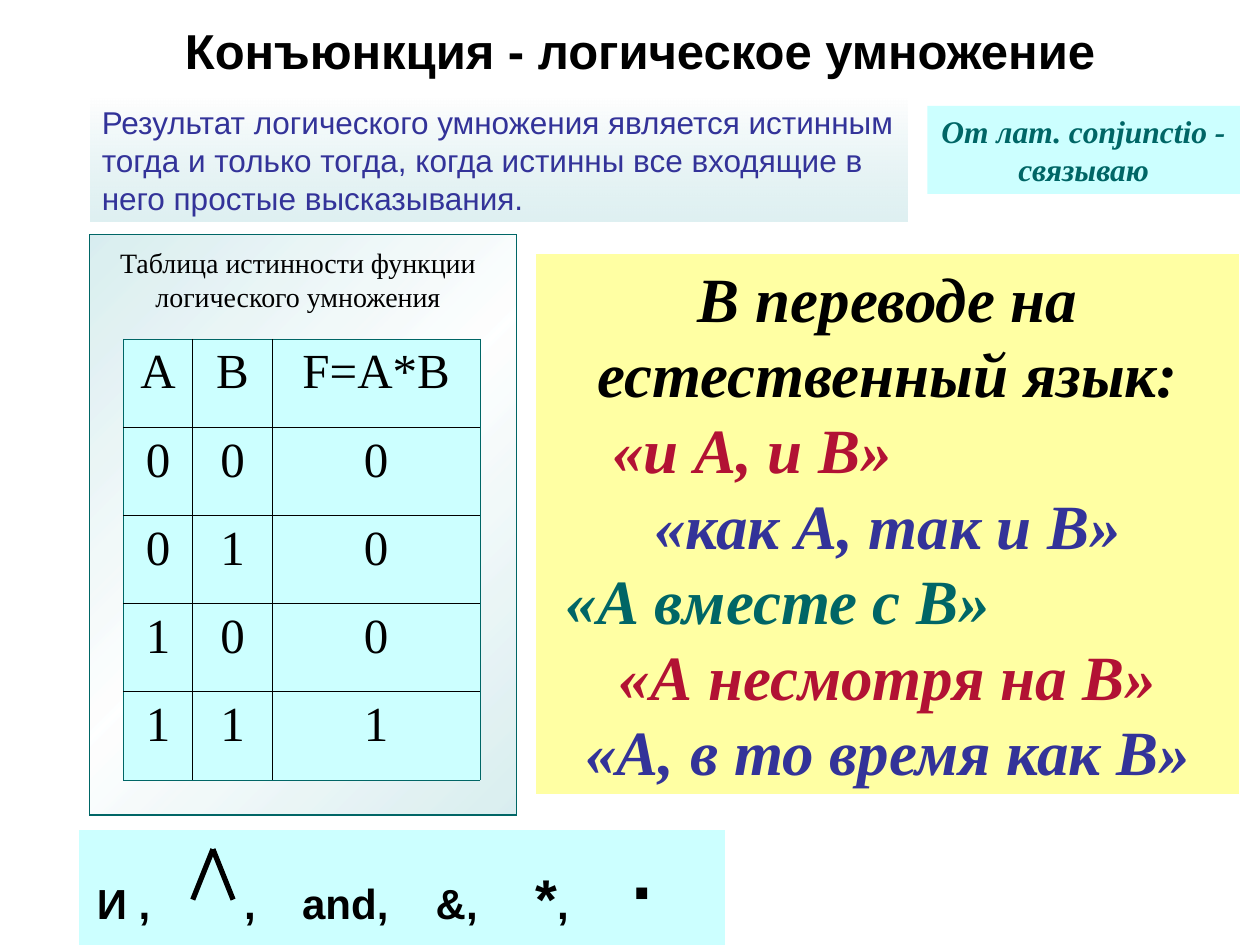
from lxml import etree
from pptx import Presentation
from pptx.dml.color import RGBColor
from pptx.enum.shapes import MSO_CONNECTOR, MSO_SHAPE
from pptx.enum.text import MSO_ANCHOR, PP_ALIGN
from pptx.oxml import parse_xml
from pptx.oxml.ns import nsdecls, qn
from pptx.util import Inches, Pt

LEFT, CENTER = PP_ALIGN.LEFT, PP_ALIGN.CENTER
TOP, MIDDLE = MSO_ANCHOR.TOP, MSO_ANCHOR.MIDDLE
RECTANGLE = MSO_SHAPE.RECTANGLE
STRAIGHT = MSO_CONNECTOR.STRAIGHT

SANS, SERIF = "Arial", "Times New Roman"
BLACK, WHITE, AQUA, MIST = "000000", "FFFFFF", "CCFFFF", "BBE0E3"
TEAL, INDIGO, CRIMSON, YELLOW = "006666", "333399", "B21234", "FFFF00"

TRUTH_TABLE = [["A", "B", "F=A*B"]] + [
    [str(a), str(b), str(a * b)] for a in (0, 1) for b in (0, 1)
]
READINGS = [  # text, colour, alignment, left indent
    ("В переводе на естественный язык:", BLACK, CENTER, 0),
    ("«и А, и В»", CRIMSON, LEFT, 0.51),
    ("«как А, так и В»", INDIGO, CENTER, 0),
    ("«А вместе с В»", TEAL, LEFT, 0.14),
    ("«А несмотря на В»", CRIMSON, CENTER, 0),
    ("«А, в то время как В»", INDIGO, CENTER, 0),
]
SYMBOLS = [("И ,\t,\tand,\t&,\t", 24), ("*", 32), (",\t", 24), ("·", 44)]
SYMBOL_TABS = [1.17, 1.63, 2.69, 3.48, 4.24]


def rgb(color):
    return RGBColor.from_string(color)


def style(para, font, size, color, align=LEFT, bold=False, italic=False):
    para.alignment = align
    para.font.name = font
    para.font.size = Pt(size)
    para.font.color.rgb = rgb(color)
    para.font.bold = bold
    para.font.italic = italic


def prepare_frame(shape, anchor=TOP):
    frame = shape.text_frame
    frame.word_wrap = True
    frame.vertical_anchor = anchor
    return frame


def write(shape, text, *look, **options):
    """Fill a shape with one paragraph; the look goes to style()."""
    para = prepare_frame(shape).paragraphs[0]
    para.text = text
    style(para, *look, **options)


def add_panel(page, area, fill=None, line=None, width=0.75):
    box = page.shapes.add_shape(RECTANGLE, *map(Inches, area))
    box.shadow.inherit = False
    if fill:
        box.fill.solid()
        box.fill.fore_color.rgb = rgb(fill)
    if line:
        box.line.color.rgb = rgb(line)
        box.line.width = Pt(width)
        etree.SubElement(box.line._get_or_add_ln(), qn("a:miter"), lim="800000")
    else:
        box.line.fill.background()
    return box


def set_alpha(box, percent):
    color = box.fill._xPr.find(qn("a:solidFill"))[0]
    etree.SubElement(color, qn("a:alpha")).set("val", str(percent * 1000))


def set_gradient(box, stops, angle):
    """Stops are (position %, colour, opacity %)."""
    stop_xml = "".join(
        f'<a:gs pos="{position * 1000}"><a:srgbClr val="{color}">'
        f'<a:alpha val="{alpha * 1000}"/></a:srgbClr></a:gs>'
        for position, color, alpha in stops
    )
    gradient = parse_xml(
        f'<a:gradFill {nsdecls("a")} rotWithShape="1"><a:gsLst>{stop_xml}</a:gsLst>'
        f'<a:lin ang="{angle * 60000}" scaled="0"/></a:gradFill>'
    )
    box._element.spPr.find(qn("a:prstGeom")).addnext(gradient)


def set_borders(cell, outer_sides):
    """Draw thin teal lines on the outer sides and black ones inside."""
    properties = cell._tc.get_or_add_tcPr()
    for index, side in enumerate("LRTB"):
        color, width = (TEAL, 0.11) if side in outer_sides else (BLACK, 0.45)
        properties.insert(index, parse_xml(
            f'<a:ln{side} {nsdecls("a")} w="{Pt(width)}"><a:solidFill>'
            f'<a:srgbClr val="{color}"/></a:solidFill></a:ln{side}>'
        ))


def add_truth_table(page):
    widths, row_height = [0.55, 0.63, 1.65], 0.7
    last_row, last_column = len(TRUTH_TABLE) - 1, len(widths) - 1
    table = page.shapes.add_table(
        last_row + 1, last_column + 1, Inches(0.98), Inches(2.69),
        Inches(sum(widths)), Inches(row_height * len(TRUTH_TABLE)),
    ).table
    for column, width in zip(table.columns, widths):
        column.width = Inches(width)
    for r, values in enumerate(TRUTH_TABLE):
        table.rows[r].height = Inches(row_height)
        for c, value in enumerate(values):
            cell = table.cell(r, c)
            cell.fill.solid()
            cell.fill.fore_color.rgb = rgb(AQUA)
            cell.text = value
            style(cell.text_frame.paragraphs[0], SERIF, 28, BLACK, CENTER)
            edges = {"L": c == 0, "R": c == last_column, "T": r == 0, "B": r == last_row}
            set_borders(cell, [side for side, outer in edges.items() if outer])


def add_readings(page):
    box = add_panel(page, (4.25, 2.01, 5.59, 4.3), YELLOW, WHITE)
    set_alpha(box, 36)
    frame = prepare_frame(box)
    for index, (text, color, align, indent) in enumerate(READINGS):
        para = frame.add_paragraph() if index else frame.paragraphs[0]
        para.text = text
        para._p.get_or_add_pPr().set("marL", str(Inches(indent)))
        style(para, SERIF, 36, color, align, bold=True, italic=True)


def add_symbols(page):
    box = add_panel(page, (0.67, 6.63, 5.04, 0.84), AQUA, AQUA, 6)
    para = prepare_frame(box, MIDDLE).paragraphs[0]
    tabs = etree.SubElement(para._p.get_or_add_pPr(), qn("a:tabLst"))
    for stop in SYMBOL_TABS:
        etree.SubElement(tabs, qn("a:tab"), pos=str(Inches(stop)), algn="l")
    style(para, SANS, 24, BLACK, bold=True)
    for text, size in SYMBOLS:
        span = para.add_run()
        span.text = text
        span.font.size = Pt(size)


def add_wedge(page):
    group = page.shapes.add_group_shape()
    for foot in (1.53, 1.85):
        stroke = group.shapes.add_connector(
            STRAIGHT, Inches(foot), Inches(7.14), Inches(1.69), Inches(6.74)
        )
        stroke.line.color.rgb = rgb(BLACK)
        stroke.line.width = Pt(3)
        etree.SubElement(stroke._element.spPr, qn("a:effectLst"))


def main():
    deck = Presentation()
    deck.slide_width, deck.slide_height = Inches(10), Inches(7.5)
    page = deck.slides.add_slide(deck.slide_layouts[5])

    title = page.shapes.title
    title.left, title.top, title.width, title.height = map(Inches, (0.67, 0.11, 8.82, 0.57))
    write(title, "Конъюнкция - логическое умножение", SANS, 28, BLACK, CENTER, bold=True)

    origin = add_panel(page, (7.36, 0.84, 2.48, 0.7), AQUA)
    write(origin, "От лат. conjunctio - связываю", SERIF, 18, TEAL, CENTER,
          bold=True, italic=True)

    definition = add_panel(page, (0.71, 0.77, 6.5, 1), line=WHITE)
    set_gradient(definition, [(0, WHITE, 74), (100, MIST, 47)], 90)
    write(definition, "Результат логического умножения является истинным тогда и только "
          "тогда, когда истинны все входящие в него простые высказывания.",
          SANS, 18, INDIGO)

    table_panel = add_panel(page, (0.71, 1.86, 3.39, 4.61), line=TEAL)
    set_gradient(table_panel, [(0, MIST, 56), (50, WHITE, 58), (100, MIST, 56)], 45)
    caption = page.shapes.add_textbox(*map(Inches, (0.79, 1.9, 3.15, 0.64)))
    write(caption, "Таблица истинности функции логического умножения",
          SERIF, 16, BLACK, CENTER)

    add_truth_table(page)
    add_readings(page)
    add_symbols(page)
    add_wedge(page)
    deck.save("out.pptx")


if __name__ == "__main__":
    main()
